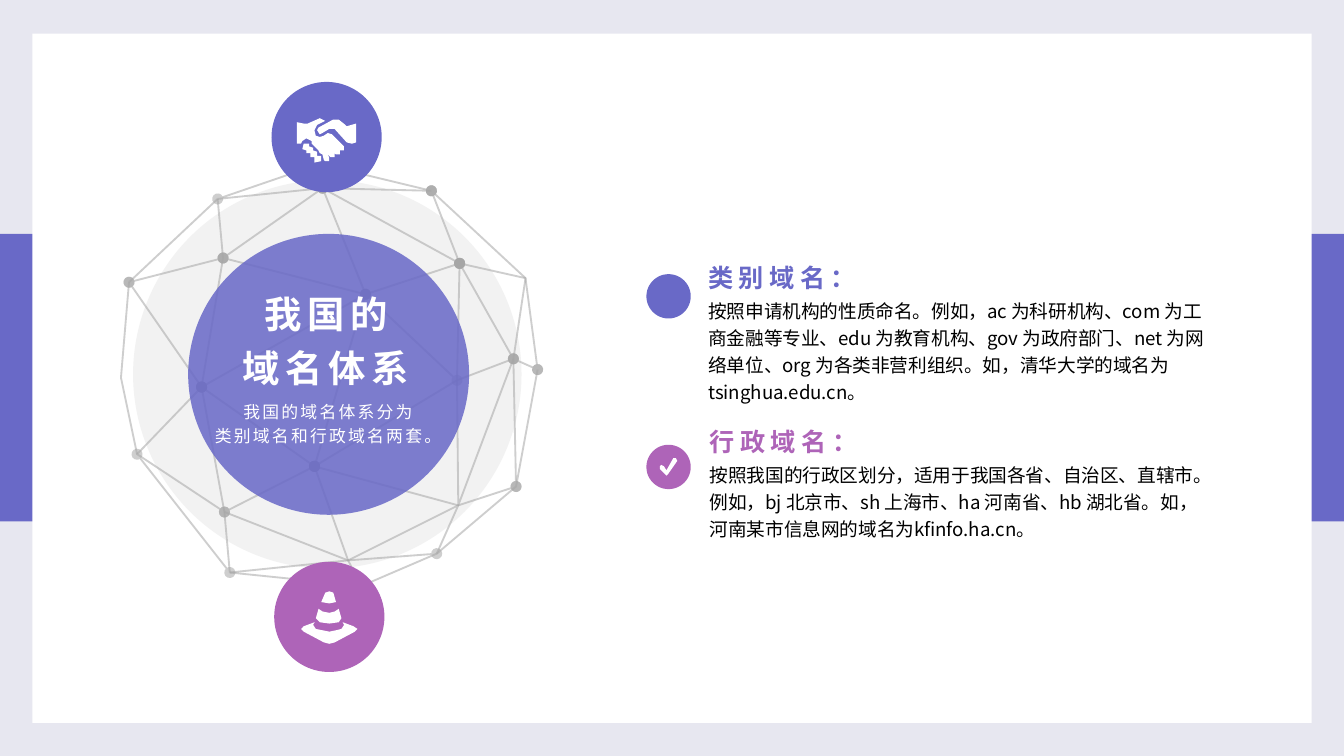
"""Builds the slide on the Chinese domain name system: a network globe and two domain types."""
import lxml.etree
import pptx
import pptx.dml.color
import pptx.enum.shapes
import pptx.enum.text
import pptx.oxml.ns
import pptx.util

PX = 9144
FONT = "Noto Sans CJK SC"
BLUE, PURPLE, WHITE, GREY = "6969C7", "AE64B8", "FFFFFF", "A6A6A6"
SHAPE = pptx.enum.shapes.MSO_SHAPE
ANCHOR = pptx.enum.text.MSO_ANCHOR
ALIGN = pptx.enum.text.PP_ALIGN
FIT = pptx.enum.text.MSO_AUTO_SIZE
qn = pptx.oxml.ns.qn

NODES = {
    "A": (321, 142), "B": (391, 207), "C": (400, 275), "D": (384, 362),
    "E": (325, 412), "F": (269, 436), "G": (171, 426), "H": (102, 338),
    "I": (90, 281), "J": (96, 210), "K": (162, 148), "L": (240, 140),
    "M": (166, 192), "N": (238, 122), "P": (150, 288), "Q": (167, 381),
    "R": (234, 347), "S": (272, 219), "T": (342, 196), "U": (382, 267),
    "V": (340, 283), "W": (341, 376), "X": (259, 417),
}
EDGES = (
    "*AN* *CBA* GFEDC *HG* JIH *NK* KLA PQG KMP* *RXF *LSR* *NL* KJ *CU* "
    "*TA* *UT* *DU *RWD* *PR* *JP* *MJ* *LM* *TL* UBT *TVWU *ST* *PS* "
    "*QHP* *RQ* *UVR* *EXG QXWE *SV* *MS*"
).split()

HANDSHAKE = [
    [(265, 92), (265, 106), (262, 107), (258, 106), (249, 96), (245, 96),
     (240, 99), (238, 100), (236, 97), (237, 95), (248, 89), (252, 89),
     (257, 93), (258, 94)],
    [(236, 116), (236, 113), (233, 112), (233, 110), (230, 109), (230, 107),
     (226, 107), (225, 111), (228, 112), (228, 114), (231, 114), (231, 117),
     (234, 117), (234, 121), (239, 120), (239, 116)],
    [(256, 109), (247, 100), (244, 99), (241, 101), (238, 102), (235, 101),
     (234, 97), (236, 93), (242, 90), (238, 88), (229, 92), (226, 92),
     (221, 91), (221, 107), (224, 107), (225, 105), (228, 103), (232, 105),
     (232, 107), (234, 109), (235, 110), (237, 112), (238, 114), (240, 115),
     (241, 119), (242, 120), (245, 120), (245, 117), (243, 114), (246, 117),
     (249, 117), (249, 114), (246, 111), (250, 115), (253, 115), (253, 112),
     (250, 108), (253, 112), (256, 112)],
]
CONE = [
    [(263, 466), (255, 463), (256, 465), (254, 468), (250, 469), (245, 470),
     (240, 469), (235, 468), (233, 465), (234, 463), (226, 466), (224, 468),
     (226, 470), (241, 478), (245, 479), (249, 478), (264, 470), (266, 468)],
    [(245, 449), (250, 448), (248, 441), (245, 440), (242, 441), (239, 448)],
    [(245, 464), (252, 463), (254, 460), (252, 453), (249, 455), (245, 456),
     (240, 455), (237, 453), (235, 460), (238, 463)],
]
TICK = [[(496, 354), (491, 349), (491, 347), (492, 346), (494, 347), (496, 350),
         (501, 341), (503, 341), (504, 343), (497, 353)]]


def rgb(value):
    return pptx.dml.color.RGBColor.from_string(value)


class Canvas:
    """Holds the presentation, the current slide and its drawing style."""

    def __init__(self, width, height):
        self.prs = pptx.Presentation()
        self.prs.slide_width, self.prs.slide_height = int(width * PX), int(height * PX)
        self.s = self.prs.slides.add_slide(self.prs.slide_layouts[5])

    def background(self, color):
        fill = self.s.background.fill
        fill.solid()
        fill.fore_color.rgb = rgb(color)

    def alpha(self, sp, percent):
        for clr in sp._element.spPr.iter(qn("a:srgbClr")):
            lxml.etree.SubElement(clr, qn("a:alpha")).set("val", str(percent * 1000))

    def paint(self, sp, color):
        sp.fill.solid()
        sp.fill.fore_color.rgb = rgb(color)
        sp.line.fill.background()
        sp.shadow.inherit = False

    def shape(self, kind, box, color, opacity=100):
        sp = self.s.shapes.add_shape(kind, *(v * PX for v in box))
        self.paint(sp, color)
        if opacity < 100:
            self.alpha(sp, opacity)

    def freeform(self, contours, closed):
        fb = self.s.shapes.build_freeform(*contours[0][0], scale=PX)
        for i, points in enumerate(contours):
            if i:
                fb.move_to(*points[0])
            fb.add_line_segments(points[1:], close=closed)
        return fb.convert_to_shape()

    def icon(self, contours, color):
        self.paint(self.freeform(contours, True), color)

    def edge(self, route):
        points = [NODES[name] for name in route.strip("*")]
        if len(points) == 2:
            ends = [v * PX for point in points for v in point]
            sp = self.s.shapes.add_connector(
                pptx.enum.shapes.MSO_CONNECTOR.STRAIGHT, *ends)
        else:
            sp = self.freeform([points], False)
            sp.fill.background()
            sp.shadow.inherit = False
        sp.line.color.rgb = rgb(GREY)
        sp.line.width = pptx.util.Pt(1)
        self.alpha(sp, 54)
        ln = sp.line._get_or_add_ln()
        dots = {"a:headEnd": route.startswith("*"), "a:tailEnd": route.endswith("*")}
        for tag, shown in dots.items():
            if shown:
                lxml.etree.SubElement(ln, qn(tag)).set("type", "oval")
        if len(points) == 2:
            lxml.etree.SubElement(sp._element.spPr, qn("a:effectLst"))

    def text(self, box, lines, size, color, bold=False, spacing=0, leading=1.2,
             align=ALIGN.LEFT, anchor=ANCHOR.TOP, insets=(7, 0, 7, 4),
             fit=FIT.NONE, title=False):
        if title:
            sp = self.s.shapes.title
            self.s.shapes._spTree.append(sp._element)
        else:
            sp = self.s.shapes.add_textbox(0, 0, 0, 0)
        for name, value in zip(("left", "top", "width", "height"), box):
            setattr(sp, name, value * PX)
        tf = sp.text_frame
        sides = ("margin_left", "margin_top", "margin_right", "margin_bottom")
        frame = dict(zip(sides, (v * PX for v in insets)),
                     word_wrap=True, auto_size=fit, vertical_anchor=anchor)
        for name, value in frame.items():
            setattr(tf, name, value)
        for i, line in enumerate(lines):
            p = tf.add_paragraph() if i else tf.paragraphs[0]
            p.alignment, p.line_spacing = align, leading
            r = p.add_run()
            r.text = line
            values = {"size": pptx.util.Pt(size), "bold": bold, "name": FONT}
            for name, value in values.items():
                setattr(r.font, name, value)
            r.font.color.rgb = rgb(color)
            rPr = r._r.get_or_add_rPr()
            rPr.set("spc", str(int(spacing * 100)))
            lxml.etree.SubElement(rPr, qn("a:ea")).set("typeface", FONT)

    def section(self, left, top, height, heading, body, color):
        self.text((left, top, 389, 30), [heading], 13.5, color, bold=True, spacing=3,
                  leading=1.1, anchor=ANCHOR.BOTTOM, insets=(7, 4, 7, 0))
        self.text((left, top + 32, 389, height), [body], 10, "000000",
                  fit=FIT.SHAPE_TO_FIT_TEXT)


def main():
    c = Canvas(1000, 562.5)
    c.background("E7E7F0")
    c.shape(SHAPE.RECTANGLE, (0, 174, 1000, 214), BLUE)
    c.shape(SHAPE.RECTANGLE, (24, 25, 952, 513), WHITE)

    c.shape(SHAPE.OVAL, (99, 134, 289, 289), "F2F2F2")
    for route in EDGES:
        c.edge(route)
    c.shape(SHAPE.OVAL, (140, 174, 209, 209), BLUE, opacity=86)
    c.text((169, 205, 147, 85), ["我国的", "域名体系"], 20, WHITE, bold=True, spacing=3,
           align=ALIGN.CENTER, anchor=ANCHOR.BOTTOM, insets=(7, 4, 7, 0),
           fit=FIT.SHAPE_TO_FIT_TEXT, title=True)
    c.text((139, 285, 210, 63), ["我国的域名体系分为", "类别域名和行政域名两套。"], 9, WHITE,
           spacing=1.2, align=ALIGN.CENTER, anchor=ANCHOR.MIDDLE, insets=(10, 0, 10, 5))

    for left, top, color, drawing in ((202, 61, BLUE, HANDSHAKE), (204, 418, PURPLE, CONE)):
        c.shape(SHAPE.OVAL, (left, top, 82, 82), color)
        c.icon(drawing, WHITE)

    for top, color in ((204, BLUE), (331, PURPLE)):
        c.shape(SHAPE.OVAL, (481, top, 33, 33), color)
    c.icon(TICK, WHITE)
    c.section(520, 188, 85, "类别域名：",
              "按照申请机构的性质命名。例如，ac 为科研机构、com 为工商金融等专业、"
              "edu 为教育机构、gov 为政府部门、net 为网络单位、org 为各类非营利组织。"
              "如，清华大学的域名为tsinghua.edu.cn。", BLUE)
    c.section(521, 310, 64, "行政域名：",
              "按照我国的行政区划分，适用于我国各省、自治区、直辖市。例如，bj 北京市、"
              "sh 上海市、ha 河南省、hb 湖北省。如，河南某市信息网的域名为kfinfo.ha.cn。",
              PURPLE)
    c.prs.save("out.pptx")


if __name__ == "__main__":
    main()
